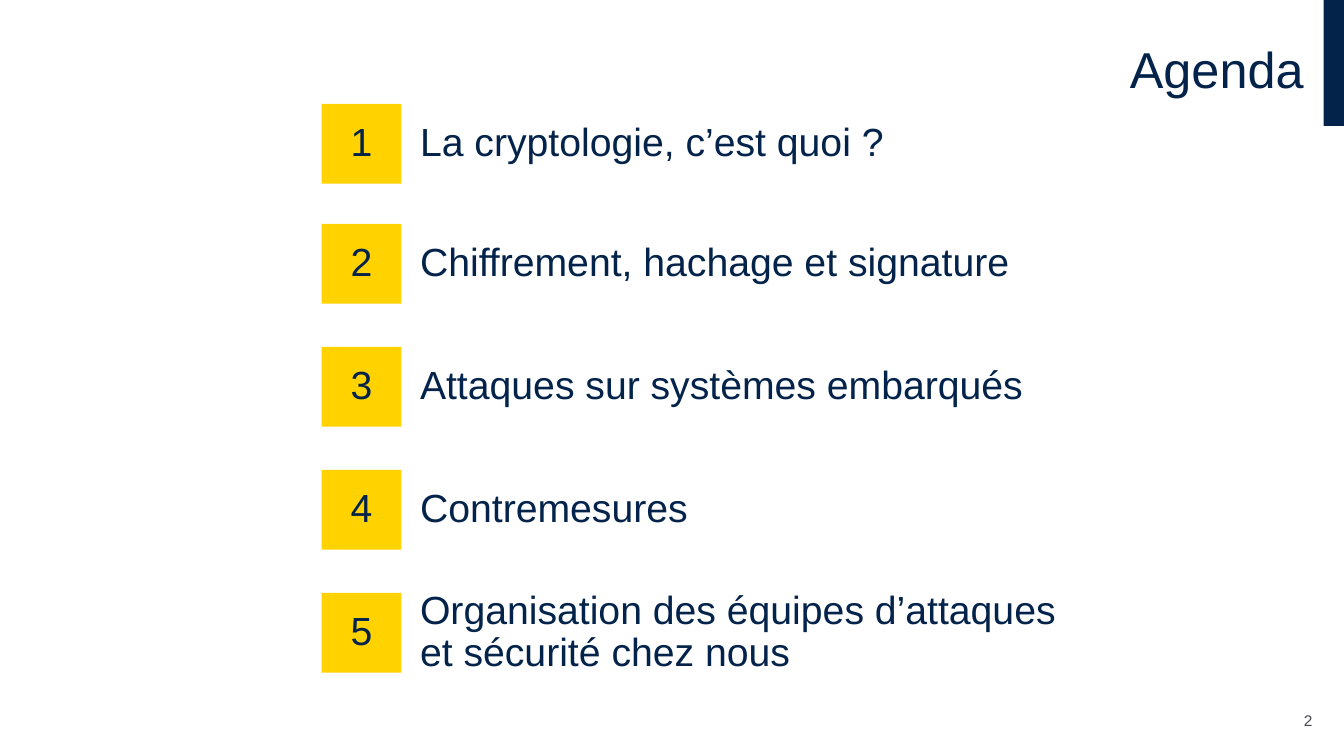
from pptx import Presentation
from pptx.dml.color import RGBColor
from pptx.enum.shapes import MSO_SHAPE as Shape
from pptx.enum.text import MSO_ANCHOR as Anchor, PP_ALIGN as Align
from pptx.util import Pt

NAVY, YELLOW, GREY = "03234B", "FFD200", "464650"
TILE = 57
FIRST_TOP, SECOND_TOP, ROW_STEP = 74.2, 159.9, 87.85
TOPICS = [
    ("La cryptologie, c’est quoi ?", 374),
    ("Chiffrement, hachage et signature", 476),
    ("Attaques sur systèmes embarqués", 499),
    ("Contremesures", 374),
    ("Organisation des équipes d’attaques et sécurité chez nous", 476),
]


def color(code):
    return RGBColor.from_string(code)


def apply(target, values):
    for name, value in values.items():
        setattr(target, name, value)


def write(shape, text, size, code=NAVY, anchor=Anchor.MIDDLE, margins=(7.2, 3.6), **para_format):
    side, edge = map(Pt, margins)
    frame = shape.text_frame
    apply(frame, {
        "word_wrap": True, "vertical_anchor": anchor,
        "margin_left": side, "margin_right": side,
        "margin_top": edge, "margin_bottom": edge,
    })
    para = frame.paragraphs[0]
    apply(para, para_format)
    span = para.add_run()
    span.text = text
    apply(span.font, {"name": "Arial", "size": Pt(size), "bold": False})
    span.font.color.rgb = color(code)


def add_title(slide, text):
    title = slide.shapes.title
    apply(title, {"left": Pt(24), "top": Pt(0), "width": Pt(914.4), "height": Pt(103)})
    write(title, text, 36, alignment=Align.RIGHT, line_spacing=0.9)


def add_block(slide, left, top, width, height, fill):
    block = slide.shapes.add_shape(Shape.RECTANGLE, Pt(left), Pt(top), Pt(width), Pt(height))
    block.shadow.inherit = False
    block.fill.solid()
    block.fill.fore_color.rgb = color(fill)
    block.line.fill.background()
    return block


def add_text(slide, left, top, width, height, text, size, **formats):
    box = slide.shapes.add_textbox(Pt(left), Pt(top), Pt(width), Pt(height))
    write(box, text, size, **formats)


def add_topic(slide, number, top, text, width):
    tile = add_block(slide, 229.7, top, TILE, TILE, YELLOW)
    write(tile, str(number), 28, margins=(0, 0), alignment=Align.CENTER, line_spacing=0.9)
    add_text(slide, 293, top, width, TILE, text, 28, alignment=Align.LEFT, line_spacing=0.9)


def main():
    deck = Presentation()
    apply(deck, {"slide_width": Pt(960), "slide_height": Pt(540)})
    slide = deck.slides.add_slide(deck.slide_layouts[5])
    add_block(slide, 945.4, 0, 14.6, 90, NAVY)
    add_title(slide, "Agenda")
    for index, (text, width) in enumerate(TOPICS):
        top = SECOND_TOP + (index - 1) * ROW_STEP if index else FIRST_TOP
        add_topic(slide, index + 1, top, text, width)
    add_text(slide, 905, 502, 32.4, 23, "2", 11, code=GREY, anchor=Anchor.BOTTOM,
             margins=(0, 3.6), alignment=Align.RIGHT)
    deck.save("out.pptx")


if __name__ == "__main__":
    main()
